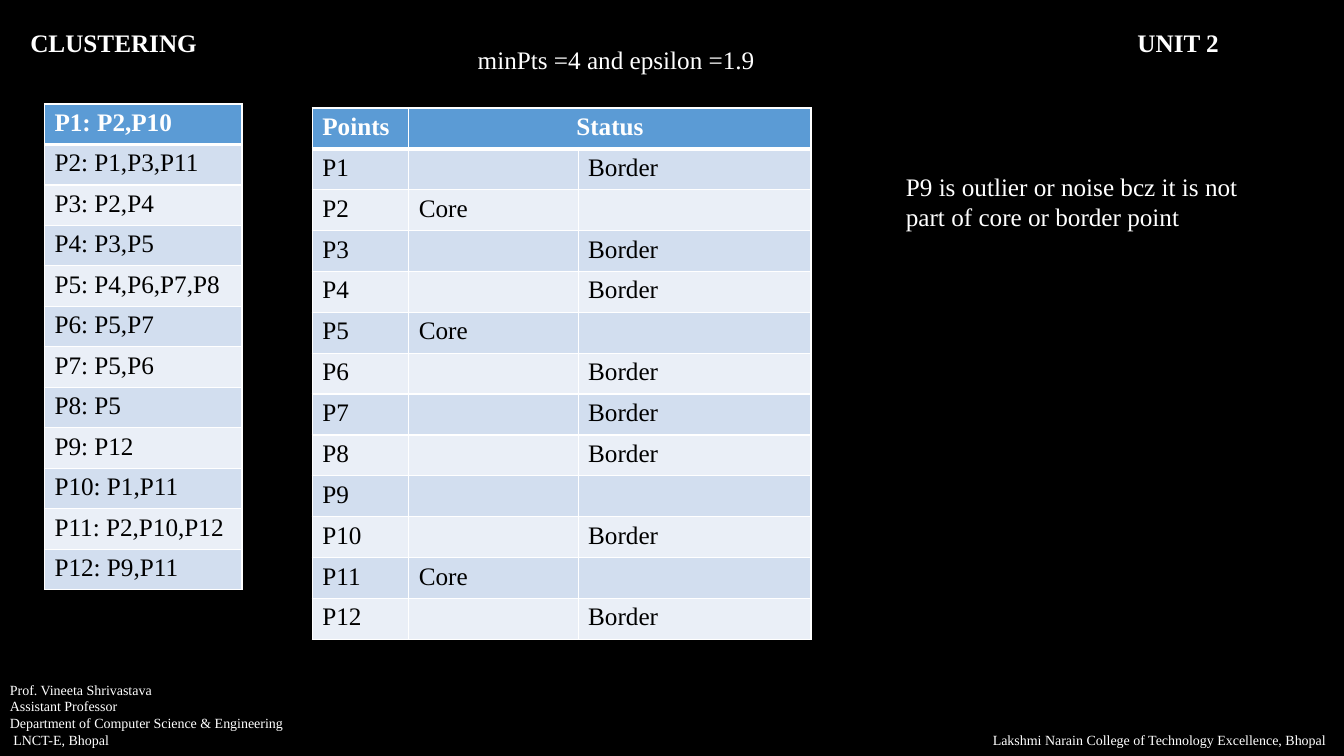
import pptx
import pptx.dml.color
import pptx.enum.text
import pptx.oxml
import pptx.oxml.ns
import pptx.util

Cm = pptx.util.Cm
Pt = pptx.util.Pt
ALIGN = pptx.enum.text.PP_ALIGN
WHITE, BLACK, HEADER = "FFFFFF", "000000", "5B9BD5"
BANDS = ["D2DEEF", "EAEFF7"]

NEIGHBOURS = [
    "P2,P10", "P1,P3,P11", "P2,P4", "P3,P5", "P4,P6,P7,P8", "P5,P7",
    "P5,P6", "P5", "P12", "P1,P11", "P2,P10,P12", "P9,P11",
]
CORE_POINTS = {2, 5, 11}
NOISE_POINTS = {9}
PROFESSOR = [
    "Prof. Vineeta Shrivastava",
    "Assistant Professor",
    "Department of Computer Science & Engineering",
    " LNCT-E, Bhopal",
]


def colour(value):
    """Turn a hex string into a colour."""
    return pptx.dml.color.RGBColor.from_string(value)


def write(frame, lines, size=18, ink=WHITE, bold=False, align=ALIGN.LEFT):
    """Fill a text frame with one formatted paragraph per line."""
    font_format = {"name": "Times New Roman", "size": Pt(size), "bold": bold}
    for index, line in enumerate(lines):
        para = frame.add_paragraph() if index else frame.paragraphs[0]
        para.alignment = align
        span = para.add_run()
        span.text = line
        for name, value in font_format.items():
            setattr(span.font, name, value)
        span.font.color.rgb = colour(ink)


def add_text(page, place, lines, size=18):
    """Add a wrapped text box at left, top, width, height in centimetres."""
    box = page.shapes.add_textbox(*map(Cm, place))
    box.text_frame.word_wrap = True
    write(box.text_frame, lines, size)


def set_title(page, left_text, right_text):
    """Place the title with its second part at a tab stop."""
    title = page.shapes.title
    place = {"left": 0.51, "top": 0.56, "width": 32.87, "height": 1.03}
    for name, value in place.items():
        setattr(title, name, Cm(value))
    frame = title.text_frame
    frame_format = {
        "vertical_anchor": pptx.enum.text.MSO_ANCHOR.TOP,
        "auto_size": pptx.enum.text.MSO_AUTO_SIZE.NONE,
        "word_wrap": True,
    }
    for name, value in frame_format.items():
        setattr(frame, name, value)
    write(frame, [f"{left_text}\t{right_text}"], bold=True)
    tabs = pptx.oxml.parse_xml(
        f'<a:tabLst {pptx.oxml.ns.nsdecls("a")}>'
        f'<a:tab pos="{Cm(27.9)}" algn="l"/></a:tabLst>'
    )
    frame.paragraphs[0]._p.get_or_add_pPr().append(tabs)


def set_borders(cell, top, bottom):
    """Draw white borders, with the top and bottom widths in points."""
    properties = cell._tc.get_or_add_tcPr()
    for side, width in {"L": 1, "R": 1, "T": top, "B": bottom}.items():
        properties.append(pptx.oxml.parse_xml(
            f'<a:ln{side} {pptx.oxml.ns.nsdecls("a")} w="{Pt(width)}">'
            f'<a:solidFill><a:srgbClr val="{WHITE}"/></a:solidFill></a:ln{side}>'
        ))


def add_banded_table(page, left, top, widths, row_height, rows):
    """Add a table with a blue header row and banded rows below it."""
    table = page.shapes.add_table(
        len(rows), len(widths), Cm(left), Cm(top),
        Cm(sum(widths)), Cm(row_height * len(rows)),
    ).table
    for column, width in zip(table.columns, widths):
        column.width = Cm(width)
    for index, texts in enumerate(rows):
        table.rows[index].height = Cm(row_height)
        header = index == 0
        for position, text in enumerate(texts):
            cell = table.cell(index, position)
            set_borders(cell, 3 if index == 1 else 1, 3 if header else 1)
            cell.fill.solid()
            cell.fill.fore_color.rgb = colour(HEADER if header else BANDS[(index - 1) % 2])
            if text:
                write(cell.text_frame, [text], ink=WHITE if header else BLACK, bold=header)
    return table


def status_row(point):
    """Give the table row with the status of one point."""
    core = point in CORE_POINTS
    border = not core and point not in NOISE_POINTS
    return [f"P{point}", "Core" if core else "", "Border" if border else ""]


def main():
    """Build the clustering slide."""
    deck = pptx.Presentation()
    deck.slide_width, deck.slide_height = Cm(33.87), Cm(19.05)
    page = deck.slides.add_slide(deck.slide_layouts.get_by_name("Title Only"))
    page.background.fill.solid()
    page.background.fill.fore_color.rgb = colour(BLACK)

    set_title(page, "CLUSTERING", "UNIT 2")
    add_text(page, (0, 17.04, 8.81, 1.96), PROFESSOR, 10)
    add_text(page, (24.77, 18.31, 9.09, 0.69),
             ["Lakshmi Narain College of Technology Excellence, Bhopal"], 10)

    neighbour_rows = [[f"P{point}: {names}"] for point, names in enumerate(NEIGHBOURS, 1)]
    add_banded_table(page, 1.12, 2.62, [4.98], 1.02, neighbour_rows)

    add_text(page, (11.79, 0.99, 9.14, 1.03), ["minPts =4 and epsilon =1.9"])
    points = range(1, len(NEIGHBOURS) + 1)
    status_rows = [["Points", "Status", ""]] + [status_row(point) for point in points]
    status = add_banded_table(page, 7.87, 2.72, [2.43, 4.27, 5.87], 1.03, status_rows)
    status.cell(0, 1).merge(status.cell(0, 2))
    status.cell(0, 1).text_frame.paragraphs[0].alignment = ALIGN.CENTER

    add_text(page, (22.58, 4.19, 9.22, 1.8),
             ["P9 is outlier or noise bcz it is not part of core or border point"])
    deck.save("out.pptx")


if __name__ == "__main__":
    main()
